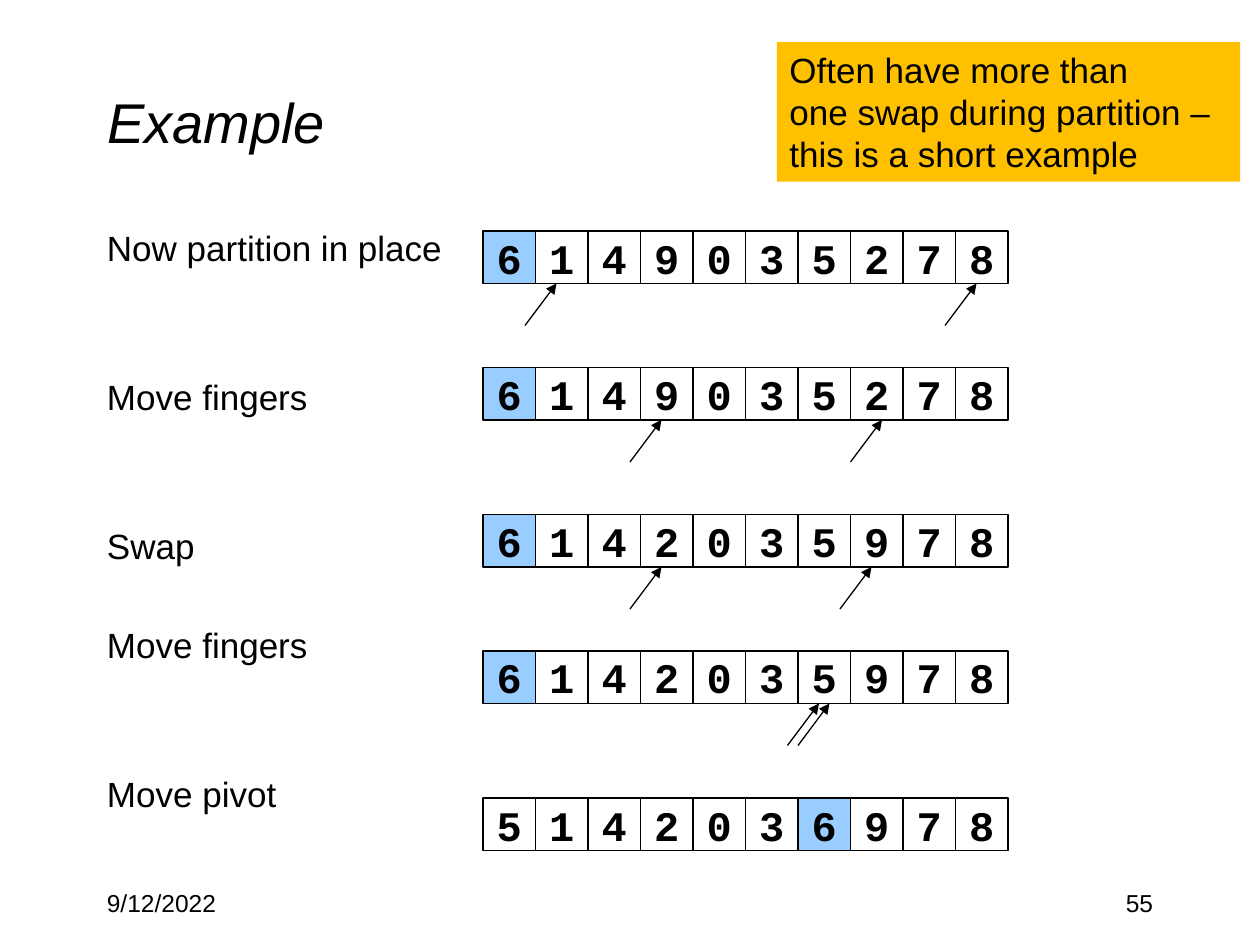
from dataclasses import dataclass

from lxml.etree import SubElement
from pptx import Presentation
from pptx.dml.color import RGBColor
from pptx.enum.shapes import MSO_CONNECTOR, MSO_SHAPE
from pptx.enum.text import MSO_ANCHOR, PP_ALIGN
from pptx.oxml.ns import qn
from pptx.util import Inches, Length, Pt

# The page is a grid of 120 columns by 90 rows, each a twelfth of an inch.
COLUMNS, ROWS = 120, 90
CELL = 5
ARRAY_LEFT = 46
LINE_HEIGHT, LINE_PITCH = 23, 28  # points, for 20 pt label text
BLACK, PIVOT_BLUE, AMBER = "000000", "99CCFF", "FFC000"


@dataclass(frozen=True)
class Box:
    left: float
    top: float
    width: float
    height: float


@dataclass(frozen=True)
class Step:
    label: str
    lines_down: int  # lines from the previous label
    row: int
    digits: str
    pivot: int
    fingers: tuple[int, ...] = ()  # columns of the arrow tips


STEPS = (
    Step("Now partition in place", 0, 22, "6149035278", 0, (53, 93)),
    Step("Move fingers", 3, 35, "6149035278", 0, (63, 84)),
    Step("Swap", 3, 49, "6142035978", 0, (63, 83)),
    Step("Move fingers", 2, 62, "6142035978", 0, (79, 78)),
    Step("Move pivot", 3, 76, "5142036978", 6),
)


def grid(units: float) -> Length:
    return Inches(units / 12)


def color(value: str) -> RGBColor:
    return RGBColor.from_string(value)


def place(box: Box) -> tuple[Length, Length, Length, Length]:
    return grid(box.left), grid(box.top), grid(box.width), grid(box.height)


def add_span(para, text: str, size: int, font="Arial", bold=False, italic=False):
    span = para.add_run()
    span.text = text
    span.font.size = Pt(size)
    span.font.name = font
    span.font.bold = bold
    span.font.italic = italic
    span.font.color.rgb = color(BLACK)


def add_lines(frame, lines: list[str], size: int, align=PP_ALIGN.LEFT) -> None:
    frame.word_wrap = True
    for index, line in enumerate(lines):
        para = frame.add_paragraph() if index else frame.paragraphs[0]
        para.alignment = align
        add_span(para, line, size)


def add_text(page, box: Box, lines: list[str], size: int, align=PP_ALIGN.LEFT):
    shape = page.shapes.add_textbox(*place(box))
    add_lines(shape.text_frame, lines, size, align)
    return shape


def add_title(page, text: str) -> None:
    title = page.shapes.title
    title.left, title.top, title.width, title.height = place(Box(9, 4, 102, 15))
    title.text_frame.vertical_anchor = MSO_ANCHOR.MIDDLE
    para = title.text_frame.paragraphs[0]
    para.alignment = PP_ALIGN.LEFT
    add_span(para, text, 32, italic=True)


def add_labels(page) -> None:
    labels = add_text(page, Box(9, 21, 39, 59), [step.label for step in STEPS], 20)
    for para, step in zip(labels.text_frame.paragraphs, STEPS):
        para.space_before = Pt(max(0, LINE_PITCH * step.lines_down - LINE_HEIGHT))


def add_cell(group, box: Box, digit: str, is_pivot: bool) -> None:
    cell = group.shapes.add_shape(MSO_SHAPE.RECTANGLE, *place(box))
    cell.shadow.inherit = False
    if is_pivot:
        cell.fill.solid()
        cell.fill.fore_color.rgb = color(PIVOT_BLUE)
    else:
        cell.fill.background()
    cell.line.color.rgb = color(BLACK)
    cell.line.width = Pt(0.75)
    frame = cell.text_frame
    frame.word_wrap = False
    frame.vertical_anchor = MSO_ANCHOR.MIDDLE
    para = frame.paragraphs[0]
    para.alignment = PP_ALIGN.CENTER
    add_span(para, digit, 24, font="Courier New", bold=True)


def add_finger(group, tip: int, row: int) -> None:
    """Draw an arrow that points up and right at the array's lower edge."""
    finger = group.shapes.add_connector(
        MSO_CONNECTOR.STRAIGHT, grid(tip - 3), grid(row + 4), grid(tip), grid(row)
    )
    finger.line.color.rgb = color(BLACK)
    finger.line.width = Pt(0.75)
    SubElement(finger.line._get_or_add_ln(), qn("a:tailEnd"), type="triangle")
    SubElement(finger._element.spPr, qn("a:effectLst"))


def add_step(page, step: Step) -> None:
    group = page.shapes.add_group_shape()
    for index, digit in enumerate(step.digits):
        box = Box(ARRAY_LEFT + index * CELL, step.row, CELL, CELL)
        add_cell(group, box, digit, index == step.pivot)
    for tip in step.fingers:
        add_finger(group, tip, step.row + CELL)


def add_callout(page, lines: list[str]) -> None:
    callout = page.shapes.add_shape(
        MSO_SHAPE.RECTANGLE, *place(Box(74, 4, 44.1, 13.3))
    )
    callout.shadow.inherit = False
    callout.fill.solid()
    callout.fill.fore_color.rgb = color(AMBER)
    callout.line.fill.background()
    callout.text_frame.vertical_anchor = MSO_ANCHOR.TOP
    add_lines(callout.text_frame, lines, 20)


def main() -> None:
    deck = Presentation()
    deck.slide_width, deck.slide_height = grid(COLUMNS), grid(ROWS)
    page = deck.slides.add_slide(deck.slide_layouts.get_by_name("Title Only"))
    add_title(page, "Example")
    add_labels(page)
    add_text(page, Box(9, 84, 25, 6), ["9/12/2022"], 14)
    add_text(page, Box(86, 84, 25, 6), ["55"], 14, PP_ALIGN.RIGHT)
    for step in STEPS:
        add_step(page, step)
    add_callout(
        page,
        ["Often have more than", "one swap during partition –", "this is a short example"],
    )
    deck.save("out.pptx")


if __name__ == "__main__":
    main()
